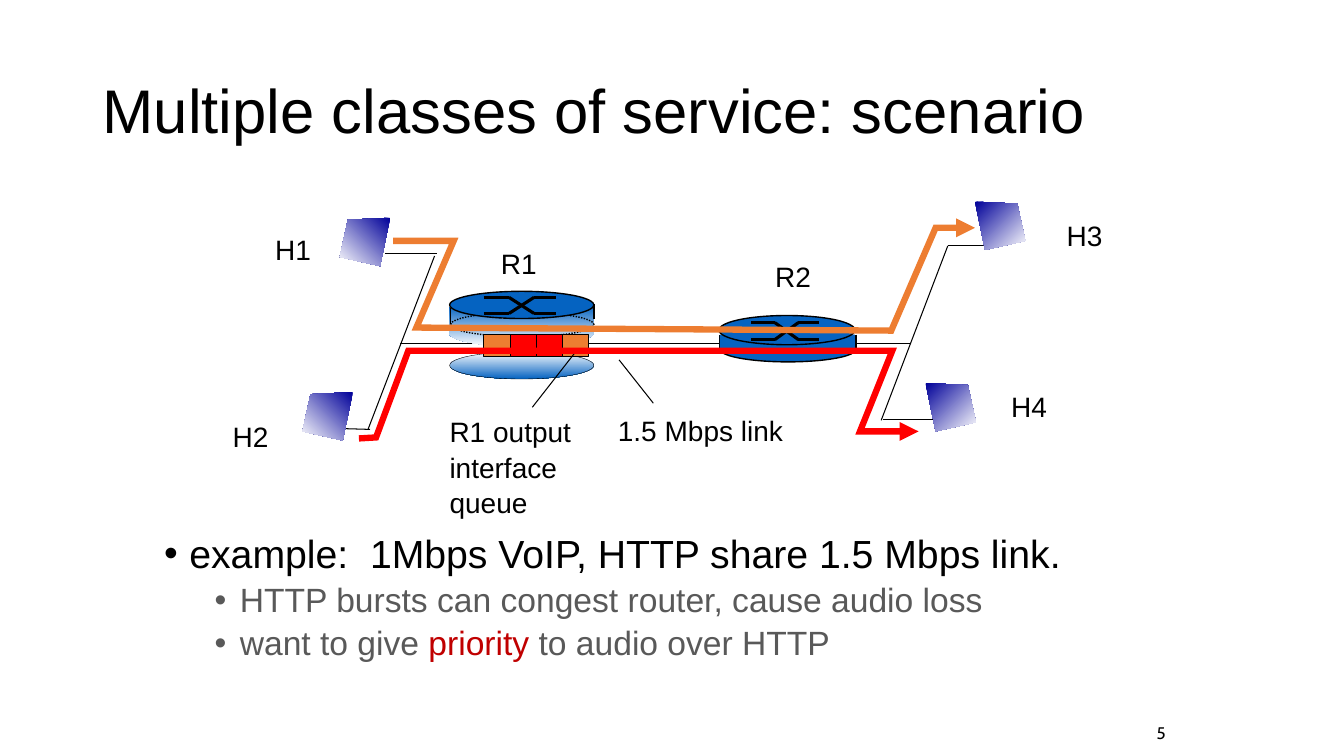
import math
from dataclasses import dataclass

import lxml.etree
import pptx
import pptx.dml.color
import pptx.enum.dml
import pptx.enum.shapes
import pptx.enum.text
import pptx.oxml.ns
import pptx.util

# The slide is a grid of square cells, 13.33 columns by 7.5 rows
CELL = pptx.util.Inches(1)
COLUMNS, ROWS = 13.33, 7.5

SHAPES = pptx.enum.shapes.MSO_SHAPE
LEFT_SIDE, RIGHT_SIDE = -1, 1


@dataclass(frozen=True)
class Theme:
    ink: str = "000000"
    muted: str = "595959"
    accent: str = "C00000"
    router: str = "0563C1"
    screen: str = "000099"
    pale: str = "FFFFFF"
    audio: str = "ED7D31"
    web: str = "FF0000"
    font: str = "Arial"
    number_font: str = "Cabin"
    title: int = 44
    point: int = 28
    subpoint: int = 24
    label: int = 20
    number: int = 12
    hairline: float = 0.75
    outline: float = 1
    switch: float = 2.25
    route: float = 4.5


THEME = Theme()


def cells(count):
    return pptx.util.Emu(round(count * CELL))


def rgb(value):
    return pptx.dml.color.RGBColor.from_string(value)


def add_xml(parent, tag, **attributes):
    return lxml.etree.SubElement(parent, pptx.oxml.ns.qn(tag), attributes)


def paint(shape, fill=None, line=None, weight=THEME.outline, angle=90):
    """Fill with a colour, a pair of gradient colours, or nothing."""
    shape.shadow.inherit = False
    if fill is None:
        shape.fill.background()
    elif isinstance(fill, tuple):
        shape.fill.gradient()
        shape.fill.gradient_angle = 360 - angle
        for stop, colour in zip(shape.fill.gradient_stops, fill):
            stop.color.rgb = rgb(colour)
    else:
        shape.fill.solid()
        shape.fill.fore_color.rgb = rgb(fill)
    if line is None:
        shape.line.fill.background()
    else:
        shape.line.color.rgb = rgb(line)
        shape.line.width = pptx.util.Pt(weight)
    return shape


def block(slide, kind, x, y, width, height, **look):
    shape = slide.shapes.add_shape(kind, cells(x), cells(y), cells(width), cells(height))
    return paint(shape, **look)


def line(slide, start, end, weight=THEME.hairline):
    connector = slide.shapes.add_connector(
        pptx.enum.shapes.MSO_CONNECTOR.STRAIGHT, *map(cells, start + end))
    connector.line.color.rgb = rgb(THEME.ink)
    connector.line.width = pptx.util.Pt(weight)
    add_xml(connector._element.spPr, "a:effectLst")


def outline(slide, points, close=True, **look):
    first, *rest = [(cells(x), cells(y)) for x, y in points]
    builder = slide.shapes.build_freeform(*first)
    builder.add_line_segments(rest, close=close)
    return paint(builder.convert_to_shape(), **look)


def route(slide, points, colour):
    traffic = outline(slide, points, close=False, line=colour, weight=THEME.route)
    stroke = traffic.line._get_or_add_ln()
    add_xml(stroke, "a:miter", lim="800000")
    add_xml(stroke, "a:tailEnd", type="triangle")


def style(paragraph, size, colour=THEME.ink, font=THEME.font):
    paragraph.font.size = pptx.util.Pt(size)
    paragraph.font.name = font
    paragraph.font.color.rgb = rgb(colour)


def text_box(slide, x, y, width, height, wrap=True, middle=False):
    frame = slide.shapes.add_textbox(cells(x), cells(y), cells(width), cells(height)).text_frame
    frame.word_wrap = wrap
    if middle:
        frame.vertical_anchor = pptx.enum.text.MSO_ANCHOR.MIDDLE
    return frame


def label(slide, x, y, width, *lines):
    frame = text_box(slide, x, y, width, 0.1 + 0.34 * len(lines), wrap=False)
    frame.auto_size = pptx.enum.text.MSO_AUTO_SIZE.SHAPE_TO_FIT_TEXT
    frame.text = "\n".join(lines)
    for paragraph in frame.paragraphs:
        paragraph.line_spacing = 1.05
        style(paragraph, THEME.label)


def bullet(paragraph, runs, level, size, colour, space):
    properties = paragraph._p.get_or_add_pPr()
    properties.set("marL", str(cells(0.25 + 0.5 * level)))
    properties.set("indent", str(cells(-0.25)))
    add_xml(properties, "a:buFont", typeface=THEME.font)
    add_xml(properties, "a:buChar", char="•")
    paragraph.level = level
    paragraph.line_spacing = 0.9
    paragraph.space_before = pptx.util.Pt(space)
    style(paragraph, size, colour)
    for words, run_colour in runs:
        run = paragraph.add_run()
        run.text = words
        if run_colour:
            run.font.color.rgb = rgb(run_colour)


def switch_mark(slide, left, top, width, height):
    """Two crossing paths with level ends."""
    right, bottom = left + width, top + height
    inner_left, inner_right = left + 0.35 * width, left + 0.7 * width
    for start, end in ((top, bottom), (bottom, top)):
        line(slide, (left, start), (inner_left, start), THEME.switch)
        line(slide, (inner_left, start), (inner_right, end), THEME.switch)
        line(slide, (inner_right, end), (right, end), THEME.switch)


def output_router(slide):
    center, radius, depth = 5.17, 0.72, 0.14
    arc = [(math.cos(step * math.pi / 24), math.sin(step * math.pi / 24)) for step in range(25)]
    rim = [(center + radius * x, 3.03 + depth * y) for x, y in arc]
    base = [(center + radius * x, 3.3 + depth * y) for x, y in reversed(arc)]
    outline(slide, rim + base, fill=(THEME.router, THEME.pale))
    hidden_rim = block(slide, SHAPES.OVAL, 4.47, 3.1, 1.42, 0.24, line=THEME.ink)
    hidden_rim.line.dash_style = pptx.enum.dml.MSO_LINE.ROUND_DOT
    line(slide, (4.47, 3.06), (4.47, 3.21), THEME.outline)
    line(slide, (5.89, 3.02), (5.89, 3.16), THEME.outline)
    block(slide, SHAPES.OVAL, 4.46, 2.89, 1.43, 0.27, fill=THEME.router, line=THEME.ink)
    switch_mark(slide, 4.8, 2.95, 0.71, 0.16)
    block(slide, SHAPES.OVAL, 4.46, 3.49, 1.43, 0.27,
          fill=(THEME.pale, THEME.router), line=THEME.ink, weight=0.25)
    # Queued packets
    for place, colour in enumerate((THEME.audio, THEME.web, THEME.web, THEME.audio)):
        block(slide, SHAPES.RECTANGLE, 4.8 + 0.26 * place, 3.32, 0.26, 0.22,
              fill=colour, line=THEME.ink, weight=THEME.hairline)


def plain_router(slide):
    block(slide, SHAPES.OVAL, 7.14, 3.34, 1.35, 0.25, fill=THEME.router, line=THEME.ink)
    for side in (7.14, 8.49):
        line(slide, (side, 3.32), (side, 3.47), THEME.outline)
    block(slide, SHAPES.RECTANGLE, 7.14, 3.32, 1.34, 0.15, fill=THEME.router)
    block(slide, SHAPES.OVAL, 7.13, 3.13, 1.35, 0.29, fill=THEME.router, line=THEME.ink)
    switch_mark(slide, 7.45, 3.2, 0.67, 0.17)


def host_screen(slide, x, y, side):
    corners = ((0, 0), (0.42, 0.02), (0.5, 0.39), (0.1, 0.48))
    outline(slide, [(x + side * across, y + down) for across, down in corners],
            fill=(THEME.screen, THEME.pale), angle=45 if side == RIGHT_SIDE else 135)


def main():
    deck = pptx.Presentation()
    deck.slide_width, deck.slide_height = cells(COLUMNS), cells(ROWS)
    slide = deck.slides.add_slide(deck.slide_layouts[6])

    # Network: shared link, routers, access links
    line(slide, (3.97, 3.41), (9.03, 3.41))
    output_router(slide)
    for start, end in (((4.31, 2.54), (3.65, 4.26)), ((3.67, 4.26), (3.33, 4.25)),
                       ((4.33, 2.52), (3.82, 2.52)), ((9.4, 2.44), (8.74, 4.17)),
                       ((9.27, 4.16), (8.76, 4.16)), ((9.76, 2.44), (9.4, 2.44))):
        line(slide, start, end)
    plain_router(slide)

    # Labels and their pointers
    for name, x, y in (("R1", 4.87, 2.38), ("R2", 7.59, 2.51), ("H1", 2.63, 2.24),
                       ("H2", 2.21, 4.1), ("H3", 10.48, 2.1), ("H4", 9.93, 3.8)):
        label(slide, x, y, 0.56, name)
    label(slide, 6.03, 4.04, 1.92, "1.5 Mbps link")
    line(slide, (6.14, 3.57), (6.48, 4))
    line(slide, (5.71, 3.49), (5.28, 4.04))
    label(slide, 4.36, 4.05, 1.49, "R1 output", "interface", "queue")

    # Traffic routes
    route(slide, ((3.9, 2.39), (4.5, 2.39), (4.13, 3.25), (8.84, 3.28),
                  (9.28, 2.26), (9.67, 2.26)), THEME.audio)
    route(slide, ((3.56, 4.35), (3.73, 4.34), (4.05, 3.48), (8.85, 3.48),
                  (8.53, 4.28), (9.11, 4.28)), THEME.web)

    # Hosts
    for x, y, side in ((3.5, 3.89, LEFT_SIDE), (3.87, 2.16, LEFT_SIDE),
                       (9.67, 2, RIGHT_SIDE), (9.18, 3.8, RIGHT_SIDE)):
        host_screen(slide, x, y, side)

    # Slide number, title and points
    number = text_box(slide, 10.91, 7.12, 0.75, 0.3, middle=True).paragraphs[0]
    number.text = "5"
    number.alignment = pptx.enum.text.PP_ALIGN.RIGHT
    style(number, THEME.number, font=THEME.number_font)

    title = text_box(slide, 0.92, 0.4, 11.5, 1.45, middle=True).paragraphs[0]
    title.text = "Multiple classes of service: scenario"
    title.line_spacing = 0.9
    style(title, THEME.title)

    points = text_box(slide, 1.53, 5.25, 9.95, 2.15)
    bullet(points.paragraphs[0], [("example:  1Mbps VoIP, HTTP share 1.5 Mbps link.", None)],
           0, THEME.point, THEME.ink, 0)
    for runs in ([("HTTP bursts can congest router, cause audio loss", None)],
                 [("want to give ", None), ("priority", THEME.accent),
                  (" to audio over HTTP", None)]):
        bullet(points.add_paragraph(), runs, 1, THEME.subpoint, THEME.muted, 5)

    deck.save("out.pptx")


if __name__ == "__main__":
    main()
